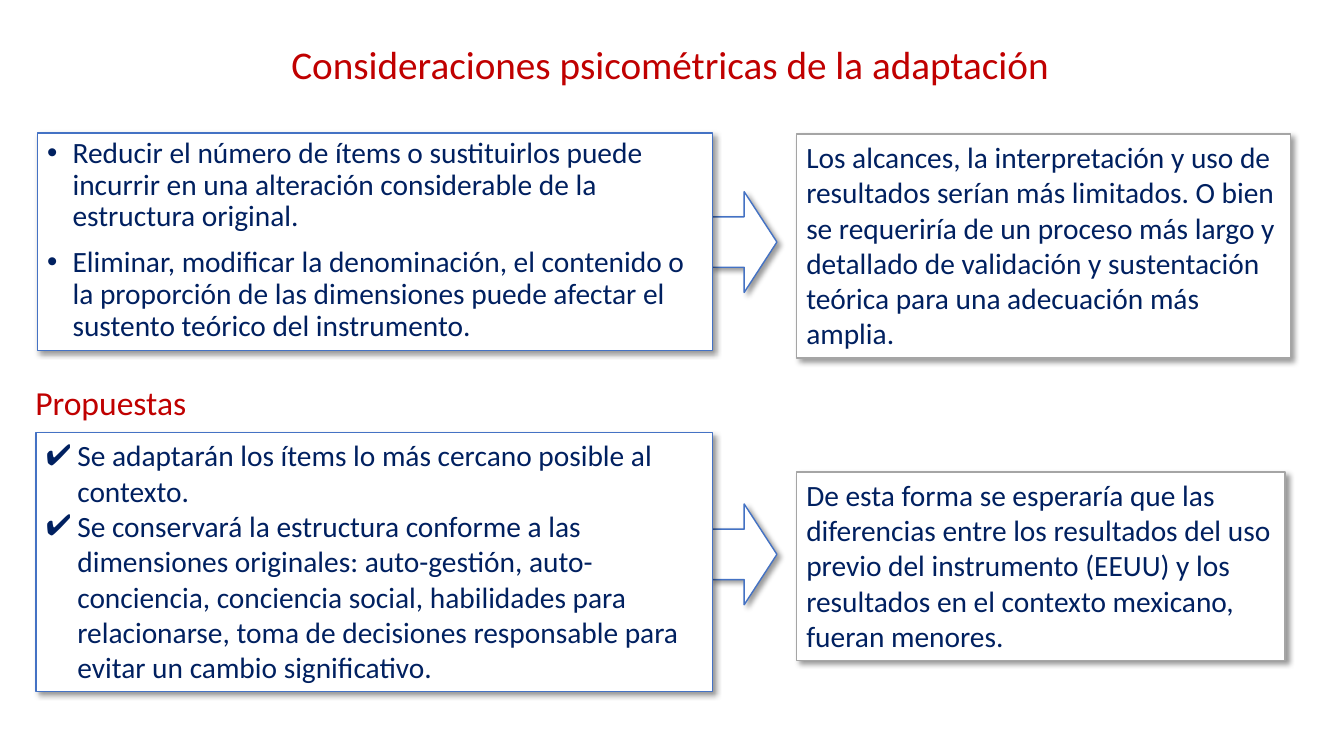
from lxml import etree
from pptx import Presentation
from pptx import util as u
from pptx.dml.color import RGBColor
from pptx.enum import shapes, text
from pptx.oxml import ns

NAVY = RGBColor(0x00, 0x20, 0x60)
RED = RGBColor(0xC0, 0x00, 0x00)
BLUE = RGBColor(0x44, 0x72, 0xC4)
GRAY = RGBColor(0xA5, 0xA5, 0xA5)
WHITE = RGBColor(0xFF, 0xFF, 0xFF)
BLACK = RGBColor(0x00, 0x00, 0x00)

RISKS = [
    "Reducir el número de ítems o sustituirlos puede incurrir en una alteración "
    "considerable de la estructura original.",
    "Eliminar, modificar la denominación, el contenido o la proporción de las "
    "dimensiones puede afectar el sustento teórico del instrumento.",
]
LIMITS = [
    "Los alcances, la interpretación y uso de resultados serían más limitados. "
    "O bien se requeriría de un proceso más largo y detallado de validación y "
    "sustentación teórica para una adecuación más amplia.",
]
PROPOSALS = [
    "Se adaptarán los ítems lo más cercano posible al contexto.",
    "Se conservará la estructura conforme a las dimensiones originales: "
    "auto-gestión, auto-conciencia, conciencia social, habilidades para "
    "relacionarse, toma de decisiones responsable para evitar un cambio "
    "significativo.",
]
OUTCOME = [
    "De esta forma se esperaría que las diferencias entre los resultados del uso "
    "previo del instrumento (EEUU) y los resultados en el contexto mexicano, "
    "fueran menores.",
]


def add_xml(parent, tag, **attrs):
    return etree.SubElement(parent, ns.qn(tag), attrs)


class SlideBuilder:
    font = "Calibri"
    body_size = 21

    def __init__(self, slide):
        self.s = slide

    def shape(self, kind, place, line):
        """Add a white outlined shape with a soft diagonal shadow."""
        sp = self.s.shapes.add_shape(kind, *map(u.Cm, place))
        sp.fill.solid()
        sp.fill.fore_color.rgb = WHITE
        sp.line.color.rgb = line
        sp.line.width = u.Pt(1)
        sp.shadow.inherit = False
        effects = sp._element.spPr.find(ns.qn("a:effectLst"))
        shadow = add_xml(effects, "a:outerShdw", blurRad=str(u.Pt(4)),
                         dist=str(u.Pt(3)), dir=str(45 * 60000),
                         algn="tl", rotWithShape="0")
        color = add_xml(shadow, "a:srgbClr", val=str(BLACK))
        add_xml(color, "a:alpha", val="40000")
        return sp

    def arrow(self, top):
        self.shape(shapes.MSO_SHAPE.RIGHT_ARROW, (17.93, top, 1.65, 2.54), BLUE)

    def run(self, p, words, size, color):
        r = p.add_run()
        r.text = words
        r.font.name = self.font
        r.font.size = u.Pt(size)
        r.font.color.rgb = color

    def bullet(self, p, mark, indent):
        pPr = p._p.get_or_add_pPr()
        pPr.set("marL", str(u.Cm(indent)))
        pPr.set("indent", str(-u.Cm(indent)))
        color = add_xml(pPr, "a:buClr")
        add_xml(color, "a:srgbClr", val=str(NAVY))
        add_xml(pPr, "a:buFont", typeface="Arial")
        add_xml(pPr, "a:buChar", char=mark)

    def box(self, place, line, paragraphs, mark=None, indent=0, spacing=None, gap=0):
        sp = self.shape(shapes.MSO_SHAPE.RECTANGLE, place, line)
        tf = sp.text_frame
        tf.word_wrap = True
        tf.vertical_anchor = text.MSO_ANCHOR.TOP
        for i, words in enumerate(paragraphs):
            p = tf.add_paragraph() if i else tf.paragraphs[0]
            p.alignment = text.PP_ALIGN.LEFT
            if mark:
                self.bullet(p, mark, indent)
            if spacing:
                p.line_spacing = spacing
            if i and gap:
                p.space_before = u.Pt(gap)
            self.run(p, words, self.body_size, NAVY)

    def heading(self, place, words, size, align):
        tf = self.s.shapes.add_textbox(*map(u.Cm, place)).text_frame
        tf.word_wrap = True
        p = tf.paragraphs[0]
        p.alignment = align
        self.run(p, words, size, RED)


def main():
    prs = Presentation()
    prs.slide_width, prs.slide_height = u.Cm(33.87), u.Cm(19.05)
    b = SlideBuilder(prs.slides.add_slide(prs.slide_layouts[6]))

    for top in (12.7, 4.83):
        b.arrow(top)
    b.box((0.94, 3.35, 17.02, 5.49), BLUE, RISKS, "•", 0.64, spacing=0.9, gap=10)
    b.heading((0.64, 0.89, 32.49, 1.45),
              "Consideraciones psicométricas de la adaptación", 28,
              text.PP_ALIGN.CENTER)
    b.box((20.07, 3.38, 12.45, 5.64), GRAY, LIMITS)
    b.box((0.91, 10.9, 17.04, 6.53), BLUE, PROPOSALS, "✔", 0.79)
    b.box((20.07, 11.89, 12.32, 4.75), GRAY, OUTCOME)
    b.heading((0.64, 9.5, 4.37, 1.27), "Propuestas", 24, text.PP_ALIGN.JUSTIFY)

    prs.save("out.pptx")


if __name__ == "__main__":
    main()
